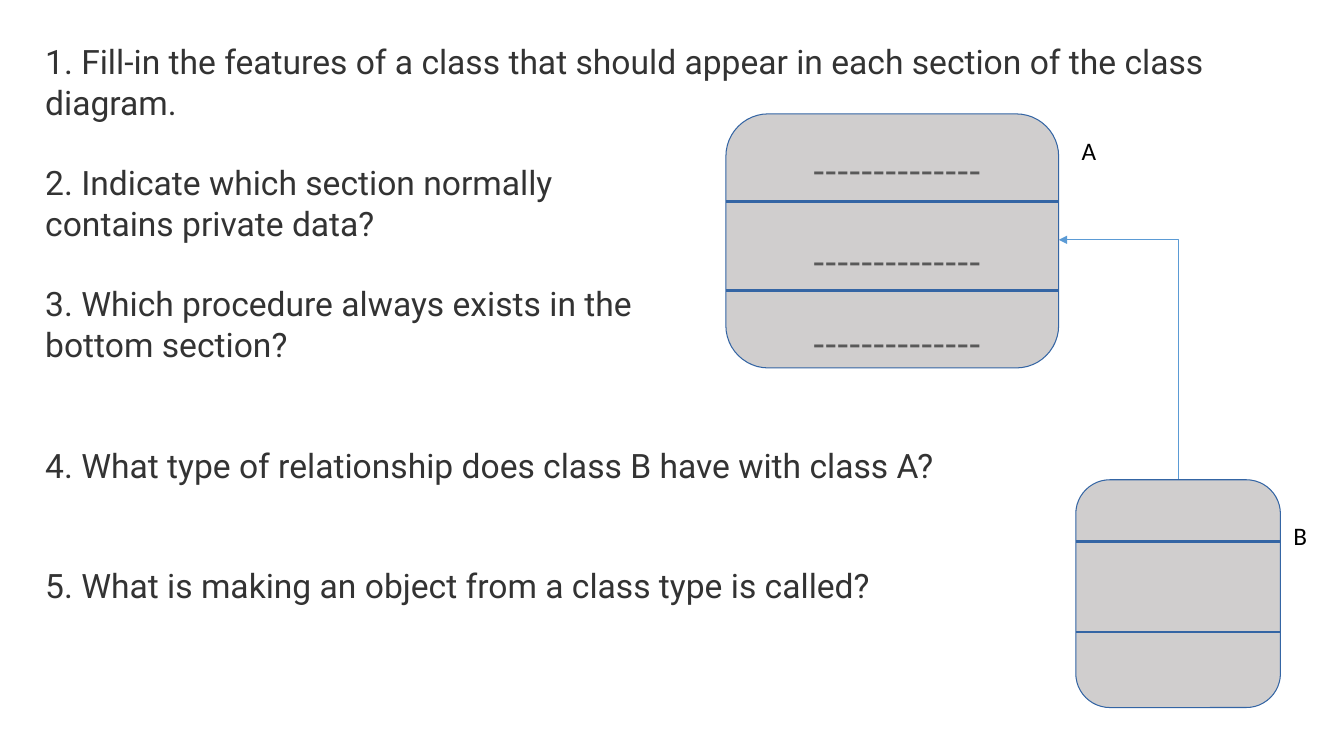
from lxml import etree
from pptx import Presentation
from pptx.dml.color import RGBColor
from pptx.enum.shapes import MSO_CONNECTOR, MSO_SHAPE
from pptx.enum.text import PP_ALIGN
from pptx.oxml.ns import qn
from pptx.util import Inches, Pt

STRAIGHT, ELBOW = MSO_CONNECTOR.STRAIGHT, MSO_CONNECTOR.ELBOW
ROUNDED = MSO_SHAPE.ROUNDED_RECTANGLE
LEFT, CENTER = PP_ALIGN.LEFT, PP_ALIGN.CENTER

# Content: each question's lines, with the number of empty lines above it
QUESTIONS = [
    (0, ["1. Fill-in the features of a class that should appear in each "
         "section of the class diagram."]),
    (1, ["2. Indicate which section normally", "contains private data?"]),
    (1, ["3. Which procedure always exists in the", "bottom section?"]),
    (2, ["4. What type of relationship does class B have with class A?"]),
    (2, ["5. What is making an object from a class type is called?"]),
]
BLANK = "-" * 14
BLANK_TOPS = [1.39, 2.3, 3.11]
# Class boxes: left, top, width, height, divider heights, label position
CLASSES = {
    "A": (7.2, 1.13, 3.3, 2.52, (2, 2.88), (10.63, 1.29)),
    "B": (10.67, 4.76, 2.03, 2.26, (5.37, 6.27), (12.73, 5.11)),
}
LINE_HEIGHT = 28.8

presentation = Presentation()
presentation.slide_width, presentation.slide_height = Inches(13.33), Inches(7.5)
slide = presentation.slides.add_slide(presentation.slide_layouts[6])


def color(hex_string):
    return RGBColor.from_string(hex_string)


def add_text(lines, left, top, width, height, font, size, hex_color, align=LEFT):
    """Add a text box; lines holds (space before in points, text) pairs."""
    box = slide.shapes.add_textbox(*map(Inches, (left, top, width, height)))
    frame = box.text_frame
    frame.word_wrap = True
    frame.text = "\n".join(text for _, text in lines)
    for paragraph, (space, _) in zip(frame.paragraphs, lines):
        paragraph.alignment = align
        paragraph.space_before = Pt(space)
        run_font = paragraph.runs[0].font
        run_font.name, run_font.size = font, Pt(size)
        run_font.color.rgb = color(hex_color)


def add_line(kind, start, end, hex_color, width):
    connector = slide.shapes.add_connector(kind, *map(Inches, start + end))
    connector.line.color.rgb = color(hex_color)
    connector.line.width = Pt(width)
    etree.SubElement(connector._element.spPr, qn("a:effectLst"))
    return connector


# Questions
question_lines = [
    (gap * LINE_HEIGHT if index == 0 else 0, text)
    for gap, lines in QUESTIONS
    for index, text in enumerate(lines)
]
add_text(question_lines, 0.35, 0.36, 12.75, 7.14, "Roboto", 24, "333333")

# Class boxes with dividers and labels
for name, (left, top, width, height, dividers, label) in CLASSES.items():
    shape = slide.shapes.add_shape(ROUNDED, *map(Inches, (left, top, width, height)))
    shape.shadow.inherit = False
    shape.fill.solid()
    shape.fill.fore_color.rgb = color("D0CECE")
    shape.line.color.rgb = color("3465A4")
    shape.line.width = Pt(0)
    for y in dividers:
        add_line(STRAIGHT, (left, y), (left + width, y), "3465A4", 0)
    add_text([(0, name)], *label, 0.46, 0.4, "Calibri", 18, "000000")

# Blanks to fill in
for top in BLANK_TOPS:
    add_text([(0, BLANK)], 7.54, top, 2.71, 0.56, "Calibri", 28, "595959", CENTER)

# Arrow from B up and left to A: a one-bend connector turned by 270 degrees
start_x, start_y, end_x, end_y = 11.69, 4.75, 10.5, 2.38
rise, reach = start_y - end_y, start_x - end_x
center_x, center_y = (start_x + end_x) / 2, (start_y + end_y) / 2
arrow = add_line(
    ELBOW,
    (center_x - rise / 2, center_y + reach / 2),
    (center_x + rise / 2, center_y - reach / 2),
    "5B9BD5", 0.5,
)
properties = arrow._element.spPr
properties.find(qn("a:xfrm")).set("rot", str(270 * 60000))
properties.find(qn("a:prstGeom")).set("prst", "bentConnector2")
etree.SubElement(properties.find(qn("a:ln")), qn("a:tailEnd"), type="triangle")

presentation.save("out.pptx")
